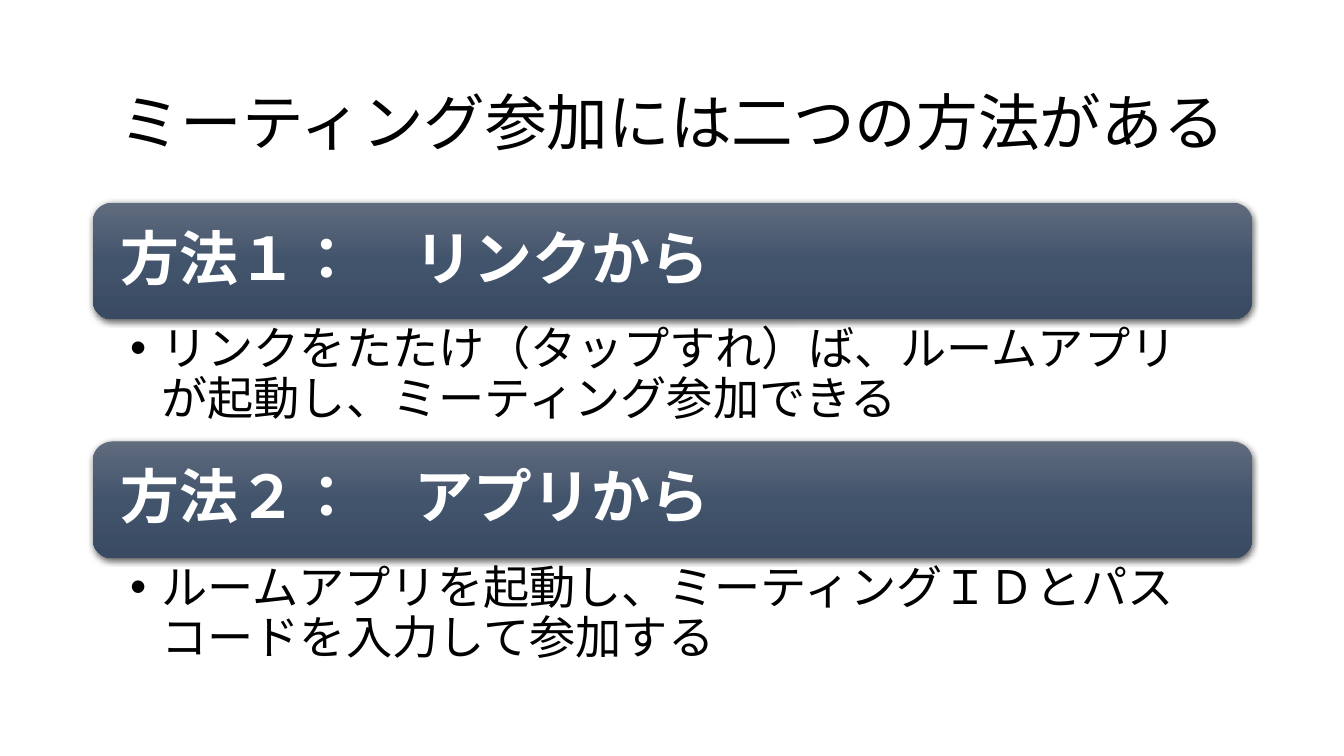
from lxml.etree import SubElement
from pptx import Presentation
from pptx.dml.color import RGBColor
from pptx.enum.lang import MSO_LANGUAGE_ID as Language
from pptx.enum.shapes import MSO_SHAPE as Shape
from pptx.enum.text import MSO_ANCHOR as Anchor, MSO_AUTO_SIZE as AutoSize, PP_ALIGN as Align
from pptx.oxml.ns import qn
from pptx.util import Inches, Pt

COLORS = {
    "text": "000000",
    "banner_text": "FFFFFF",
    "banner_top": "606B7D",
    "banner_middle": "42546C",
    "banner_bottom": "394A62",
    "shadow": "000000",
}
LEFT, WIDTH = 0.92, 11.5
FIRST_ROW, BANNER_HEIGHT, LIST_HEIGHT = 2.01, 1.16, 1.21
ROW_PITCH = BANNER_HEIGHT + LIST_HEIGHT
METHODS = [
    ("方法１：　リンクから",
     "リンクをたたけ（タップすれ）ば、ルームアプリが起動し、ミーティング参加できる"),
    ("方法２：　アプリから",
     "ルームアプリを起動し、ミーティングＩＤとパスコードを入力して参加する"),
]


def set_values(target, values):
    for name, value in values.items():
        setattr(target, name, value)


def place(shape, top, height):
    set_values(shape, {"left": Inches(LEFT), "top": Inches(top),
                       "width": Inches(WIDTH), "height": Inches(height)})


def write(shape, text, size, color, align, anchor, margins, bold=False, bullet=False):
    frame = shape.text_frame
    sides = ("margin_left", "margin_top", "margin_right", "margin_bottom")
    set_values(frame, {"word_wrap": True, "auto_size": AutoSize.NONE, "vertical_anchor": anchor})
    set_values(frame, {side: Inches(margin) for side, margin in zip(sides, margins)})
    paragraph = frame.paragraphs[0]
    if bullet:
        add_bullet(paragraph)
    set_values(paragraph, {"alignment": align, "line_spacing": 0.9, "space_before": Pt(0)})
    run = paragraph.add_run()
    run.text = text
    set_values(run.font, {"name": "Calibri", "size": Pt(size), "bold": bold,
                          "language_id": Language.JAPANESE})
    run.font.color.rgb = RGBColor.from_string(COLORS[color])


def add_bullet(paragraph):
    properties = paragraph._p.get_or_add_pPr()
    indent = Inches(0.31)
    properties.set("marL", str(indent))
    properties.set("indent", str(-indent))
    SubElement(properties, qn("a:buChar"), char="•")


def add_gradient(shape):
    shape.fill.gradient()
    shape.fill.gradient_angle = 270
    stops = shape._element.spPr.find(".//" + qn("a:gsLst"))
    for stop in list(stops):
        stops.remove(stop)
    for position, name in enumerate(("banner_top", "banner_middle", "banner_bottom")):
        stop = SubElement(stops, qn("a:gs"), pos=str(position * 50000))
        SubElement(stop, qn("a:srgbClr"), val=COLORS[name])


def add_shadow(shape):
    shape.shadow.inherit = False
    effects = shape._element.spPr.find(qn("a:effectLst"))
    shadow = SubElement(effects, qn("a:outerShdw"), blurRad=str(Pt(4.5)), dist=str(Pt(1.5)),
                        dir="5400000", algn="ctr", rotWithShape="0")
    color = SubElement(shadow, qn("a:srgbClr"), val=COLORS["shadow"])
    SubElement(color, qn("a:alpha"), val="63000")


def add_banner(slide, text, top):
    banner = slide.shapes.add_shape(Shape.ROUNDED_RECTANGLE, 0, 0, 0, 0)
    place(banner, top, BANNER_HEIGHT)
    add_gradient(banner)
    banner.line.fill.background()
    add_shadow(banner)
    write(banner, text, 42, "banner_text", Align.LEFT, Anchor.MIDDLE,
          (0.22, 0.17, 0.22, 0.17), bold=True)


def fill_title(title, text):
    place(title, 0.52, 1.45)
    write(title, text, 44, "text", Align.CENTER, Anchor.MIDDLE, (0.1, 0.05, 0.1, 0.05))


def fill_list(body, text, top):
    place(body, top, LIST_HEIGHT)
    write(body, text, 33, "text", Align.LEFT, Anchor.TOP, (0.37, 0.06, 0.33, 0.06), bullet=True)


def main():
    presentation = Presentation()
    set_values(presentation, {"slide_width": Inches(13.33), "slide_height": Inches(7.5)})
    slide = presentation.slides.add_slide(presentation.slide_layouts.get_by_name("Two Content"))
    title, *bodies = slide.placeholders
    fill_title(title, "ミーティング参加には二つの方法がある")
    for row, (body, (heading, description)) in enumerate(zip(bodies, METHODS)):
        top = FIRST_ROW + row * ROW_PITCH
        add_banner(slide, heading, top)
        fill_list(body, description, top + BANNER_HEIGHT)
    presentation.save("out.pptx")


if __name__ == "__main__":
    main()
